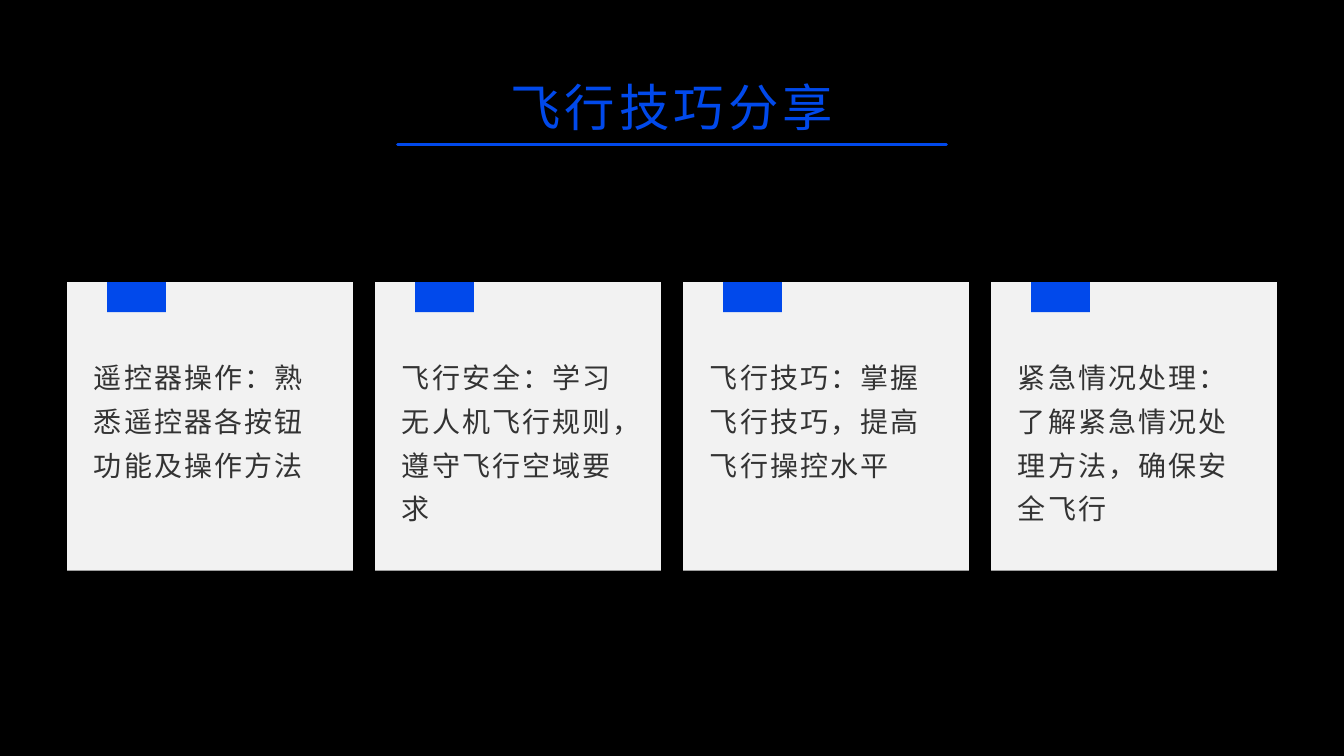
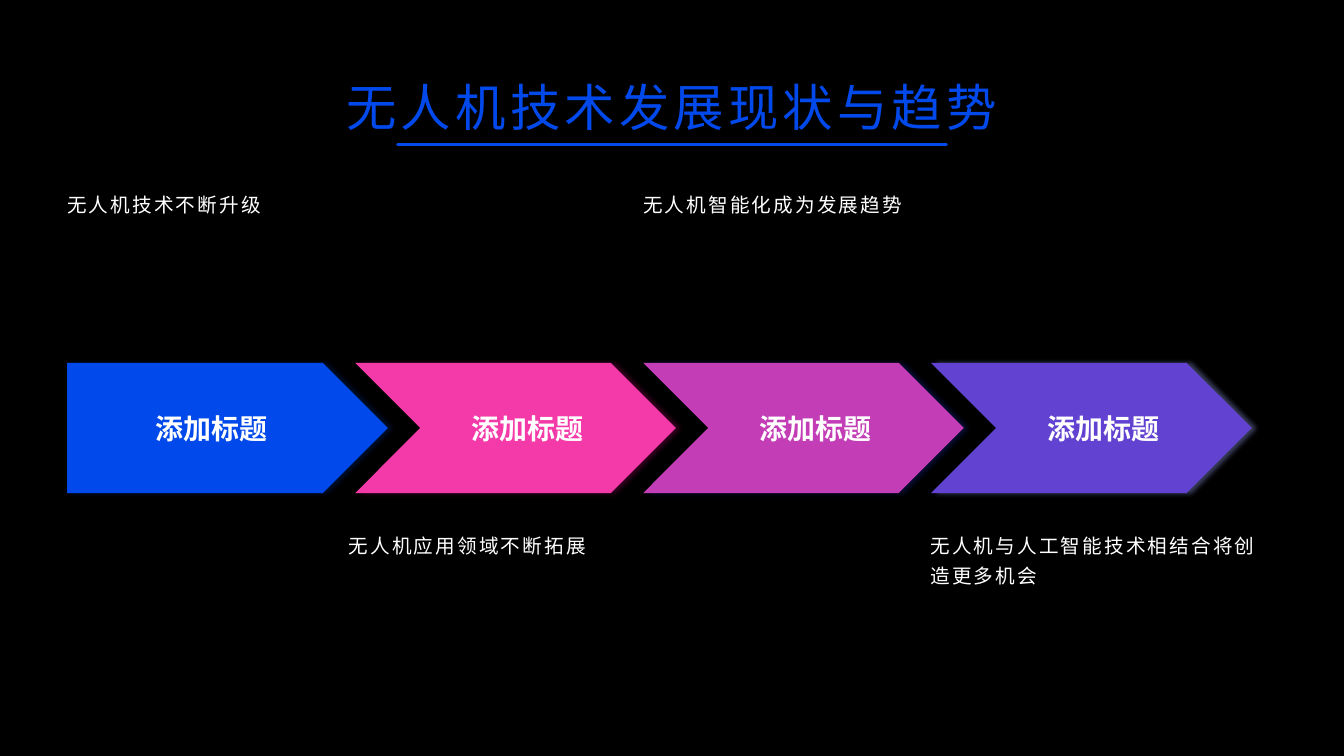
import pptx
import pptx.dml.color
import pptx.enum.lang
import pptx.enum.shapes
import pptx.enum.text
import pptx.oxml
import pptx.oxml.ns
import pptx.util

Pt = pptx.util.Pt
RGBColor = pptx.dml.color.RGBColor
SHAPE = pptx.enum.shapes.MSO_SHAPE
ALIGN = pptx.enum.text.PP_ALIGN
ANCHOR = pptx.enum.text.MSO_ANCHOR

BLACK = RGBColor(0x00, 0x00, 0x00)
WHITE = RGBColor(0xFF, 0xFF, 0xFF)
BLUE = RGBColor(0x01, 0x49, 0xEB)
PINK = RGBColor(0xF4, 0x3A, 0xA9)
MAGENTA = RGBColor(0xC3, 0x3D, 0xB6)
VIOLET = RGBColor(0x62, 0x43, 0xD1)
CARD_GREY = RGBColor(0xF2, 0xF2, 0xF2)
TEXT_GREY = RGBColor(0x33, 0x33, 0x33)
BLUE_SHADOW = RGBColor(0x00, 0x24, 0x76)
PINK_SHADOW = RGBColor(0x8F, 0x08, 0x59)
MAGENTA_SHADOW = RGBColor(0x16, 0x23, 0x85)
VIOLET_SHADOW = RGBColor(0x98, 0xA2, 0xEE)

FONT = "Roboto"
PAGE_WIDTH, PAGE_HEIGHT = 960, 540
MARGIN = 48
CARD_PITCH = 220
STEP_PITCH = 205.7
STEP_TOP = 259.2
UPPER_CAPTION_TOP, LOWER_CAPTION_TOP = 129, 372.5

CARDS = [
    "遥控器操作：熟悉遥控器各按钮功能及操作方法",
    "飞行安全：学习无人机飞行规则，遵守飞行空域要求",
    "飞行技巧：掌握飞行技巧，提高飞行操控水平",
    "紧急情况处理：了解紧急情况处理方法，确保安全飞行",
]
STEPS = [
    (SHAPE.PENTAGON, BLUE, BLUE_SHADOW),
    (SHAPE.CHEVRON, PINK, PINK_SHADOW),
    (SHAPE.CHEVRON, MAGENTA, MAGENTA_SHADOW),
    (SHAPE.CHEVRON, VIOLET, VIOLET_SHADOW),
]
CAPTIONS = [
    (MARGIN, UPPER_CAPTION_TOP, "无人机技术不断升级"),
    (249, LOWER_CAPTION_TOP, "无人机应用领域不断拓展"),
    (459.4, UPPER_CAPTION_TOP, "无人机智能化成为发展趋势"),
    (664.6, LOWER_CAPTION_TOP, "无人机与人工智能技术相结合将创造更多机会"),
]


def write_text(box, text, size, color, align=ALIGN.LEFT, anchor=ANCHOR.TOP,
               spacing=0, line_spacing=None, bold=False):
    """Fill a shape with one styled paragraph and return that paragraph."""
    frame = box.text_frame
    frame.word_wrap = True
    frame.vertical_anchor = anchor
    para = frame.paragraphs[0]
    para.text = text
    para.alignment = align
    para.line_spacing = line_spacing
    font = para.font
    font.name, font.size, font.bold = FONT, Pt(size), bold
    font.color.rgb = color
    font.language_id = pptx.enum.lang.MSO_LANGUAGE_ID.SIMPLIFIED_CHINESE
    if spacing:
        properties = para._p.get_or_add_pPr().get_or_add_defRPr()
        properties.set("spc", str(int(spacing * 100)))
    return para


def add_text(page, left, top, width, height, *args, **style):
    """Add a text box and return it with its paragraph."""
    box = page.shapes.add_textbox(Pt(left), Pt(top), Pt(width), Pt(height))
    return box, write_text(box, *args, **style)


def add_block(page, kind, left, top, width, height, fill):
    """Add a flat filled shape without an outline."""
    block = page.shapes.add_shape(kind, Pt(left), Pt(top), Pt(width), Pt(height))
    block.shadow.inherit = False
    block.fill.solid()
    block.fill.fore_color.rgb = fill
    block.line.fill.background()
    return block


def add_shadow(block, color):
    """Cast a soft shadow to the right of a shape."""
    effects = block._element.spPr.find(pptx.oxml.ns.qn("a:effectLst"))
    effects.append(pptx.oxml.parse_xml(
        f'<a:outerShdw {pptx.oxml.ns.nsdecls("a")} blurRad="{Pt(4)}" '
        f'dist="{Pt(3)}" dir="0" algn="l" rotWithShape="0">'
        f'<a:srgbClr val="{color}"><a:alpha val="40000"/></a:srgbClr>'
        '</a:outerShdw>'))


def add_page(deck, title):
    """Add a black page with the centred title and its rule."""
    page = deck.slides.add_slide(deck.slide_layouts[6])
    page.background.fill.solid()
    page.background.fill.fore_color.rgb = BLACK
    rule = page.shapes.add_connector(
        pptx.enum.shapes.MSO_CONNECTOR.STRAIGHT,
        Pt(284), Pt(103.5), Pt(PAGE_WIDTH - 284), Pt(103.5))
    rule.line.color.rgb = BLUE
    rule.line.width = Pt(2)
    rule.line._get_or_add_ln().set("cap", "rnd")
    rule._element.spPr.append(pptx.oxml.parse_xml(
        f'<a:effectLst {pptx.oxml.ns.nsdecls("a")}/>'))
    add_text(page, MARGIN, 48, PAGE_WIDTH - 2 * MARGIN, 55.5, title, 36, BLUE,
             align=ALIGN.CENTER, anchor=ANCHOR.MIDDLE, spacing=3)
    return page


def add_card(page, left, top, text):
    """Add a grey card with a blue tab and its text."""
    add_block(page, SHAPE.RECTANGLE, left, top, 204, 206, CARD_GREY)
    add_block(page, SHAPE.RECTANGLE, left + 28.5, top, 42, 21.5, BLUE)
    add_text(page, left + 12, top + 45.4, 179.3, 145, text, 20, TEXT_GREY,
             spacing=1.5, line_spacing=1.3)


def add_step(page, left, top, kind, fill, shadow):
    """Add one labelled arrow of the process band."""
    step = add_block(page, kind, left, top, 229, 93, fill)
    add_shadow(step, shadow)
    write_text(step, "添加标题", 20, WHITE, align=ALIGN.CENTER,
               anchor=ANCHOR.MIDDLE, bold=True)
    if kind == SHAPE.CHEVRON:
        step.text_frame.margin_left = Pt(17.3)
        step.text_frame.margin_right = 0


def add_caption(page, left, top, text):
    """Add a white caption flush with its left edge."""
    box, para = add_text(page, left, top, 247, 110, text, 14, WHITE,
                         spacing=1.5, line_spacing=1.3)
    box.text_frame.margin_left = 0
    para.space_after = Pt(10)


def build_skills(deck):
    """Build the page with four skill cards."""
    page = add_page(deck, "飞行技巧分享")
    for index, text in enumerate(CARDS):
        add_card(page, MARGIN + index * CARD_PITCH, 201.6, text)


def build_trends(deck):
    """Build the page with the process band and its captions."""
    page = add_page(deck, "无人机技术发展现状与趋势")
    for index, step in enumerate(STEPS):
        add_step(page, MARGIN + index * STEP_PITCH, STEP_TOP, *step)
    for caption in CAPTIONS:
        add_caption(page, *caption)


def main():
    """Build and save the deck."""
    deck = pptx.Presentation()
    deck.slide_width, deck.slide_height = Pt(PAGE_WIDTH), Pt(PAGE_HEIGHT)
    build_skills(deck)
    build_trends(deck)
    deck.save("out.pptx")


if __name__ == "__main__":
    main()
